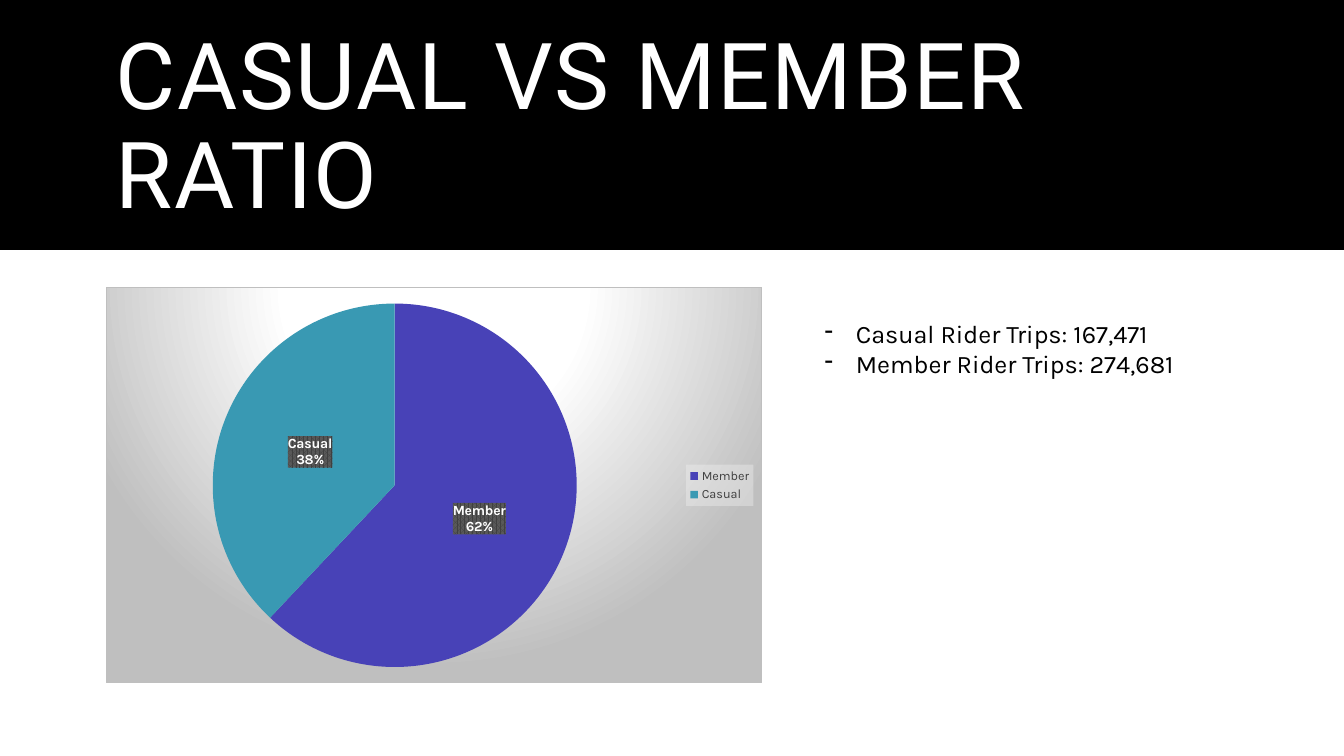
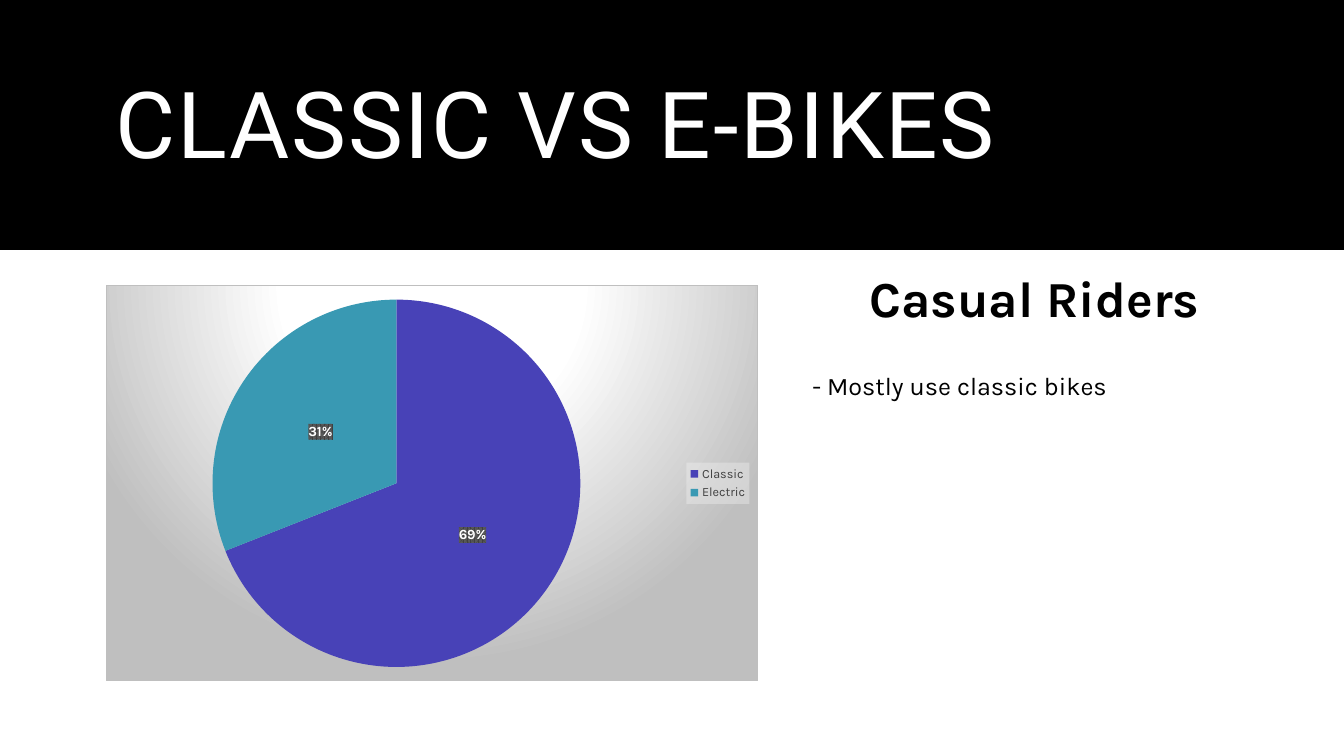
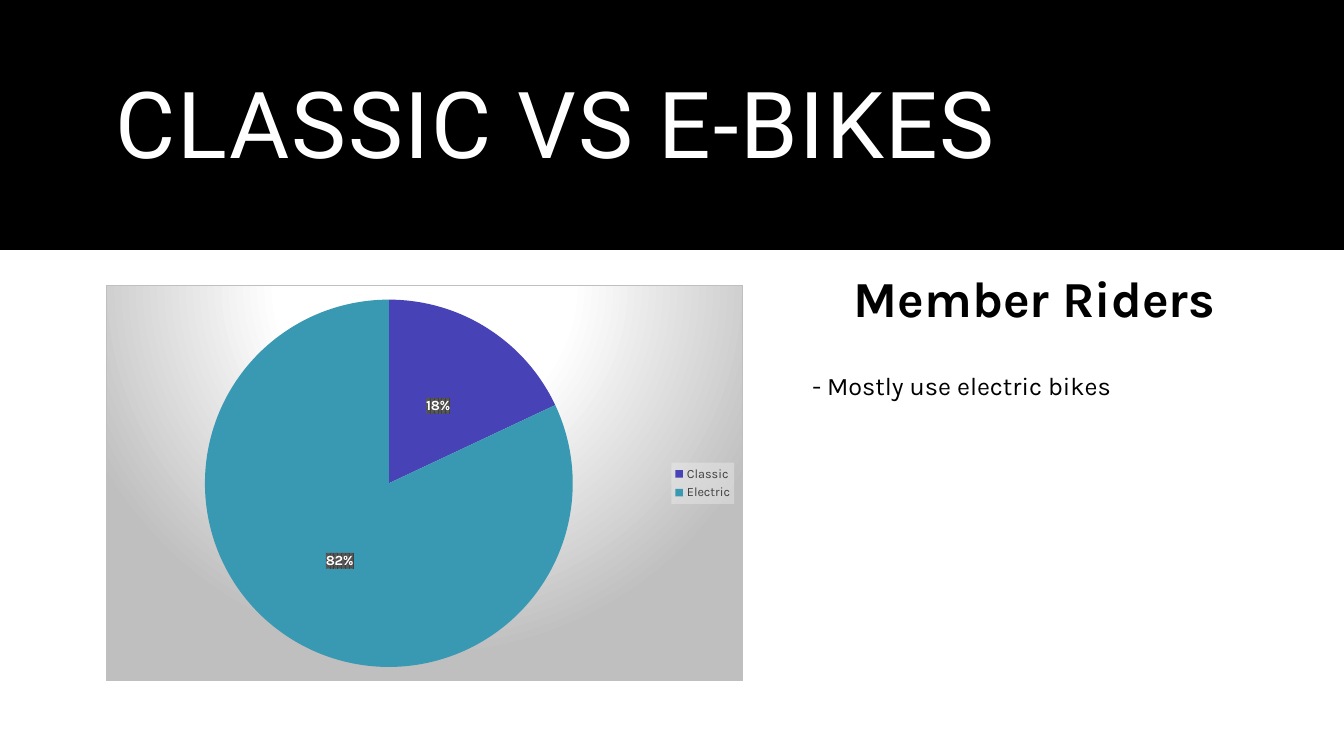
from lxml import etree
from pptx import Presentation
from pptx.chart.data import CategoryChartData
from pptx.dml.color import RGBColor
from pptx.enum.chart import XL_CHART_TYPE, XL_LABEL_POSITION, XL_LEGEND_POSITION
from pptx.enum.shapes import MSO_SHAPE
from pptx.enum.text import MSO_ANCHOR, MSO_AUTO_SIZE, PP_ALIGN
from pptx.oxml import parse_xml
from pptx.util import Inches, Pt

PIE = XL_CHART_TYPE.PIE
LABEL_CENTER = XL_LABEL_POSITION.CENTER
LEGEND_RIGHT = XL_LEGEND_POSITION.RIGHT
RECTANGLE = MSO_SHAPE.RECTANGLE
MIDDLE = MSO_ANCHOR.MIDDLE
FIXED, GROW = MSO_AUTO_SIZE.NONE, MSO_AUTO_SIZE.SHAPE_TO_FIT_TEXT
LEFT, CENTER = PP_ALIGN.LEFT, PP_ALIGN.CENTER

COLORS = {
    "black": "000000",
    "white": "FFFFFF",
    "first_slice": "4842B7",
    "second_slice": "3999B3",
    "panel_edge": "BFBFBF",
    "legend_text": "404040",
    "legend_fill": "F2F2F2",
    "label_front": "404040",
    "label_back": "595959",
}
TITLE_FONT, BODY_FONT = "Roboto", "Karla"
SLIDE_WIDTH, SLIDE_HEIGHT = 13.33, 7.5
BAND_HEIGHT = 2.48
TITLE_BOX = (1.05, 0.35, 11.23, 1.86)
BULLET_INDENT = 0.31
CHART_LEFT, CHART_HEIGHT = 1.05, 3.93
NAMESPACES = (
    'xmlns:a="http://schemas.openxmlformats.org/drawingml/2006/main" '
    'xmlns:c="http://schemas.openxmlformats.org/drawingml/2006/chart"'
)


def rgb(name):
    return RGBColor.from_string(COLORS[name])


def inches(box):
    return [Inches(length) for length in box]


def color_xml(name, inner=""):
    return f'<a:srgbClr val="{COLORS[name]}">{inner}</a:srgbClr>'


def chart_format(inner):
    return parse_xml(f"<c:spPr {NAMESPACES}>{inner}</c:spPr>")


def format_font(font, size, color, name=BODY_FONT, bold=False):
    font.name = name
    font.size = Pt(size)
    font.bold = bold
    font.color.rgb = rgb(color)


def write_text(frame, text, size=18, color="black", name=BODY_FONT, bold=False,
               align=LEFT, autosize=GROW, bullet=None, line_spacing=None, tracking=None):
    frame.word_wrap = True
    frame.auto_size = autosize
    for index, line in enumerate(text.split("\n")):
        paragraph = frame.add_paragraph() if index else frame.paragraphs[0]
        paragraph.alignment = align
        if line_spacing:
            paragraph.line_spacing = line_spacing
        run = paragraph.add_run()
        run.text = line
        format_font(run.font, size, color, name, bold)
        if tracking:
            run.font._element.set("spc", str(round(tracking * 100)))
        if bullet:
            properties = paragraph._p.get_or_add_pPr()
            properties.set("marL", str(Inches(BULLET_INDENT)))
            properties.set("indent", str(-Inches(BULLET_INDENT)))
            properties.append(parse_xml(f'<a:buChar {NAMESPACES} char="{bullet}"/>'))


def add_text(slide, box, text, **style):
    write_text(slide.shapes.add_textbox(*inches(box)).text_frame, text, **style)


def move_band_to_layout(slide):
    band = slide.shapes.add_shape(RECTANGLE, *inches((0, 0, SLIDE_WIDTH, BAND_HEIGHT)))
    band.shadow.inherit = False
    band.fill.solid()
    band.fill.fore_color.rgb = rgb("black")
    band.line.fill.background()
    band.element.nvSpPr.cNvPr.set("id", "20")
    slide.slide_layout.shapes.element.insert(2, band.element)


def add_titled_slide(deck, text):
    slide = deck.slides.add_slide(deck.slide_layouts[5])
    title = slide.shapes.title
    title.left, title.top, title.width, title.height = inches(TITLE_BOX)
    title.text_frame.vertical_anchor = MIDDLE
    write_text(title.text_frame, text, size=66, color="white", name=TITLE_FONT,
               autosize=FIXED, line_spacing=0.9, tracking=1.2)
    return slide


def style_panel(chart):
    stops = "".join(
        f'<a:gs pos="{position * 1000}">{color_xml(name)}</a:gs>'
        for position, name in ((0, "white"), (39, "white"), (100, "panel_edge"))
    )
    chart.element.find("{*}chart").addnext(chart_format(
        f'<a:gradFill><a:gsLst>{stops}</a:gsLst><a:path path="circle">'
        '<a:fillToRect l="50000" t="-80000" r="50000" b="180000"/></a:path></a:gradFill>'
        f'<a:ln w="{Pt(0.75)}"><a:solidFill>{color_xml("panel_edge")}</a:solidFill></a:ln>'
    ))


def style_legend(chart):
    chart.has_legend = True
    legend = chart.legend
    legend.position = LEGEND_RIGHT
    legend.include_in_layout = False
    format_font(legend.font, 9, "legend_text")
    transparent = color_xml("legend_fill", '<a:alpha val="39000"/>')
    chart.element.find(".//{*}legend/{*}txPr").addprevious(
        chart_format(f"<a:solidFill>{transparent}</a:solidFill>"))


def style_labels(chart, with_category):
    labels = chart.plots[0].series[0].data_labels
    labels.show_value = False
    labels.show_percentage = True
    labels.show_category_name = with_category
    labels.number_format = "0%"
    labels.number_format_is_linked = False
    labels.position = LABEL_CENTER
    format_font(labels.font, 10, "white", bold=True)
    label_list = chart.element.find(".//{*}ser/{*}dLbls")
    label_list.find("{*}txPr").addprevious(chart_format(
        f'<a:pattFill prst="pct75"><a:fgClr>{color_xml("label_front")}</a:fgClr>'
        f'<a:bgClr>{color_xml("label_back")}</a:bgClr></a:pattFill>'
    ))
    if with_category:
        separator = parse_xml(f"<c:separator {NAMESPACES}/>")
        separator.text = "\n"
        label_list.find("{*}showBubbleSize").addnext(separator)


def set_plot_box(chart, box):
    plot_area = chart.element.find(".//{*}plotArea")
    for old_layout in plot_area.findall("{*}layout"):
        plot_area.remove(old_layout)
    layout = parse_xml(f"<c:layout {NAMESPACES}><c:manualLayout/></c:layout>")
    values = [("layoutTarget", "inner"), ("xMode", "edge"), ("yMode", "edge")]
    values += zip("xywh", box)
    chart_uri = etree.QName(layout).namespace
    for tag, value in values:
        etree.SubElement(layout[0], f"{{{chart_uri}}}{tag}").set("val", str(value))
    plot_area.insert(0, layout)


def add_share_pie(slide, box, shares, with_category=False, plot_box=None):
    data = CategoryChartData()
    data.categories = list(shares)
    data.add_series("Series 1", list(shares.values()))
    chart = slide.shapes.add_chart(PIE, *inches(box), data).chart
    chart.has_title = False
    format_font(chart.font, 10, "black")
    plot = chart.plots[0]
    plot.vary_by_categories = True
    for index, name in enumerate(("first_slice", "second_slice")):
        fill = plot.series[0].points[index].format.fill
        fill.solid()
        fill.fore_color.rgb = rgb(name)
    style_panel(chart)
    style_legend(chart)
    style_labels(chart, with_category)
    if plot_box:
        set_plot_box(chart, plot_box)


def add_ratio_slide(deck):
    slide = add_titled_slide(deck, "CASUAL VS MEMBER RATIO")
    move_band_to_layout(slide)
    add_share_pie(slide, (CHART_LEFT, 2.85, 6.51, CHART_HEIGHT), {"Member": 62, "Casual": 38},
                  with_category=True, plot_box=(0.02, 0.04, 0.84, 0.92))
    add_text(slide, (8.08, 3.11, 4.69, 0.71),
             "Casual Rider Trips: 167,471\nMember Rider Trips: 274,681", bullet="-")


def add_bike_slide(deck, riders, finding, classic, chart_width):
    slide = add_titled_slide(deck, "CLASSIC VS E-BIKES")
    add_text(slide, (7.95, 2.6, 4.62, 0.71), riders, size=36, bold=True, align=CENTER)
    add_text(slide, (7.96, 3.62, 4.77, 0.4), finding)
    add_share_pie(slide, (CHART_LEFT, 2.83, chart_width, CHART_HEIGHT),
                  {"Classic": classic, "Electric": 100 - classic})


def main():
    deck = Presentation()
    deck.slide_width, deck.slide_height = inches((SLIDE_WIDTH, SLIDE_HEIGHT))
    add_ratio_slide(deck)
    add_bike_slide(deck, "Casual Riders", "- Mostly use classic bikes", 69, 6.47)
    add_bike_slide(deck, "Member Riders", "- Mostly use electric bikes", 18, 6.32)
    deck.save("out.pptx")


if __name__ == "__main__":
    main()
